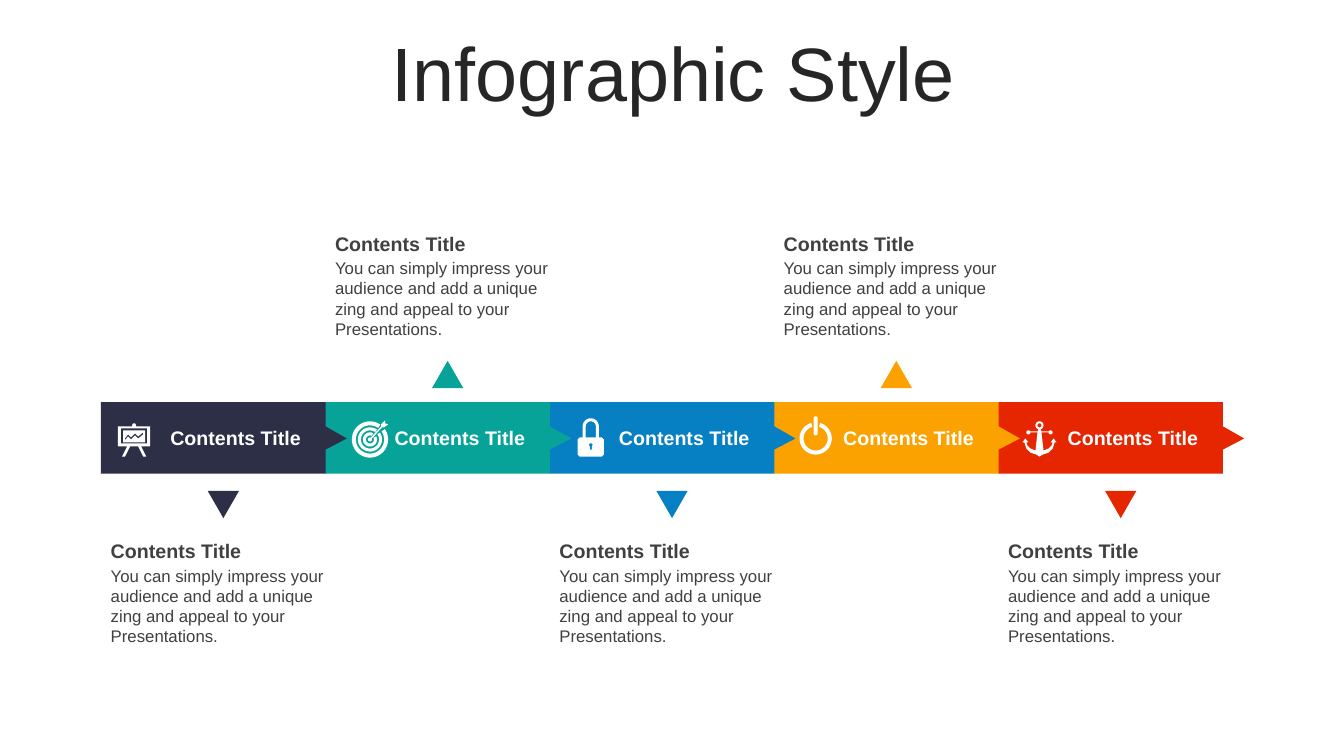
from dataclasses import dataclass
from math import cos, radians, sin

from pptx import Presentation
from pptx.dml.color import RGBColor
from pptx.enum import shapes, text
from pptx.util import Inches, Pt


@dataclass(frozen=True)
class Theme:
    font: str = "Arial"
    title: str = "262626"
    body: str = "404040"
    light: str = "FFFFFF"
    title_size: int = 54
    heading_size: int = 14
    body_size: int = 12


THEME = Theme()
TITLE = "Infographic Style"
HEADING = "Contents Title"
DESCRIPTION = ("You can simply impress your audience and add a unique "
               "zing and appeal to your Presentations.")


def arc(radius, start, end, x=0, y=0):
    """Points along an arc, in degrees clockwise from the right."""
    steps = 40
    angles = [radians(start + (end - start) * n / steps) for n in range(steps + 1)]
    return [(x + radius * cos(a), y + radius * sin(a)) for a in angles]


def circle(radius, x=0, y=0):
    return arc(radius, 0, 360, x, y)


def open_ring(outer, inner, start, end):
    return arc(outer, start, end) + arc(inner, end, start)


def rectangle(left, top, right, bottom):
    return [(left, top), (right, top), (right, bottom), (left, bottom)]


def mirrored(half):
    """Close a right-hand outline with its reflection."""
    return half + [(-x, y) for x, y in reversed(half)]


# Icon outlines in inches around the icon centre; inner outlines cut holes.
TREND = [(-0.09, 0.0), (-0.06, -0.04), (-0.03, -0.01), (0.01, -0.05),
         (0.04, -0.02), (0.09, -0.06)]
BOARD = [
    mirrored([(0.01, -0.15), (0.02, -0.13), (0.02, -0.12), (0.16, -0.12),
              (0.16, 0.08), (0.07, 0.08), (0.12, 0.18), (0.09, 0.18), (0.04, 0.08)]),
    rectangle(-0.13, -0.1, 0.13, 0.05),
    rectangle(-0.11, -0.08, 0.11, 0.04),
    TREND + [(x, y + 0.02) for x, y in reversed(TREND)],
]
TARGET = [
    open_ring(0.18, 0.14, -35, 305),
    open_ring(0.12, 0.09, -35, 305),
    open_ring(0.07, 0.04, -27, 297),
    circle(0.02),
    [(0.15, -0.19), (0.15, -0.16), (0.18, -0.15), (0.14, -0.12),
     (0.12, -0.12), (0.02, -0.01), (0.01, -0.02), (0.11, -0.13), (0.11, -0.15)],
]
PADLOCK = [
    mirrored([(0.11, 0), (0.13, 0.02), (0.13, 0.17), (0.11, 0.19)]),
    arc(0.08, 180, 360, y=-0.11) + [(0.08, 0), (0.05, 0)]
    + arc(0.05, 360, 180, y=-0.11) + [(-0.05, 0), (-0.08, 0)],
    mirrored([(0.01, 0.06), (0.02, 0.07), (0.01, 0.09), (0.01, 0.12)]),
]
POWER = [
    open_ring(0.16, 0.12, -74, 254),
    arc(0.02, 180, 360, y=-0.2) + arc(0.02, 0, 180, y=-0.05),
]
ANCHOR = [
    circle(0.04, y=-0.13),
    circle(0.02, y=-0.13),
    circle(0.02, 0.11, -0.06),
    circle(0.02, -0.11, -0.06),
    mirrored([(0.01, -0.09), (0.02, -0.07), (0.09, -0.07), (0.09, -0.06),
              (0.02, -0.06), (0.04, 0.12), (0.09, 0.1), (0.12, 0.07),
              (0.13, 0.04), (0.11, 0.04), (0.14, 0), (0.17, 0.04),
              (0.15, 0.04), (0.13, 0.1), (0.09, 0.14), (0.03, 0.16), (0, 0.18)]),
]

# colour, icon, icon centre, whether the description sits above the band
STEPS = [
    ("2C2F45", BOARD, (1.33, 4.35), False),
    ("07A398", TARGET, (3.67, 4.36), True),
    ("0680C3", PADLOCK, (5.86, 4.34), False),
    ("FBA200", POWER, (8.09, 4.35), True),
    ("E62601", ANCHOR, (10.31, 4.35), False),
]
FIRST_LEFT, LAST_LEFT = 1, 9.9
PITCH = (LAST_LEFT - FIRST_LEFT) / (len(STEPS) - 1)
STEP_WIDTH = 2.44
BAND = [(0, 3.99), (2.23, 3.99), (2.23, 4.23), (2.44, 4.35),
        (2.23, 4.46), (2.23, 4.7), (0, 4.7)]


def paint(shape, colour):
    shape.shadow.inherit = False
    shape.fill.solid()
    shape.fill.fore_color.rgb = RGBColor.from_string(colour)
    shape.line.fill.background()


def add_outline(page, outlines, origin, colour):
    dx, dy = origin
    placed = [[(Inches(x + dx), Inches(y + dy)) for x, y in outline] for outline in outlines]
    builder = page.shapes.build_freeform(*placed[0][0], scale=1.0)
    for number, outline in enumerate(placed):
        if number:
            builder.move_to(*outline[0])
        builder.add_line_segments(outline[1:], close=True)
    paint(builder.convert_to_shape(), colour)


def add_text(page, area, words, size, colour, bold=False, wrap=True):
    box = page.shapes.add_textbox(*map(Inches, area))
    frame = box.text_frame
    frame.word_wrap = wrap
    frame.text = words
    span = frame.paragraphs[0].runs[0]
    span.font.name = THEME.font
    span.font.size = Pt(size)
    span.font.bold = bold
    span.font.color.rgb = RGBColor.from_string(colour)
    return frame


def add_pointer(page, left, above, colour):
    top = 3.58 if above else 4.87
    pointer = page.shapes.add_shape(shapes.MSO_SHAPE.ISOSCELES_TRIANGLE,
                                    *map(Inches, (left, top, 0.31, 0.27)))
    pointer.rotation = 0 if above else 180
    paint(pointer, colour)


def add_step(page, left, step):
    colour, icon, centre, above = step
    add_outline(page, [BAND], (left, 0), colour)
    add_outline(page, icon, centre, THEME.light)
    add_text(page, (left + 0.59, 4.18, 1.51, 0.34), HEADING,
             THEME.heading_size, THEME.light, bold=True, wrap=False)
    add_pointer(page, left + 1.06, above, colour)
    top = 2.25 if above else 5.3
    add_text(page, (left, top, STEP_WIDTH, 0.34), HEADING,
             THEME.heading_size, THEME.body, bold=True)
    add_text(page, (left, top + 0.26, STEP_WIDTH, 0.91), DESCRIPTION,
             THEME.body_size, THEME.body)


def main():
    deck = Presentation()
    deck.slide_width, deck.slide_height = Inches(13.33), Inches(7.5)
    page = deck.slides.add_slide(deck.slide_layouts[6])

    title = add_text(page, (0.35, 0.37, 12.66, 0.79), TITLE, THEME.title_size, THEME.title)
    title.vertical_anchor = text.MSO_ANCHOR.MIDDLE
    title.paragraphs[0].alignment = text.PP_ALIGN.CENTER
    title.paragraphs[0].line_spacing = 0.9

    # Right to left, so each arrow tip lies over the next band.
    for index in reversed(range(len(STEPS))):
        add_step(page, FIRST_LEFT + index * PITCH, STEPS[index])
    deck.save("out.pptx")


if __name__ == "__main__":
    main()
